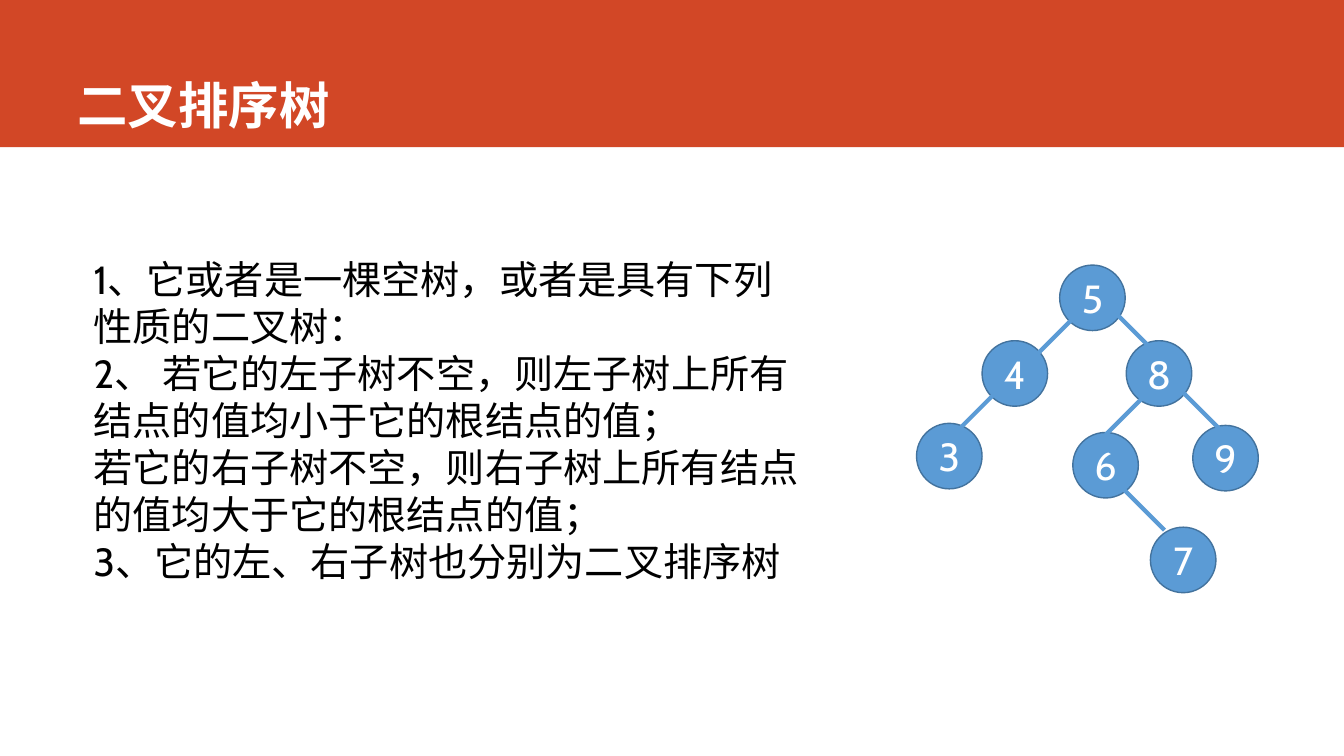
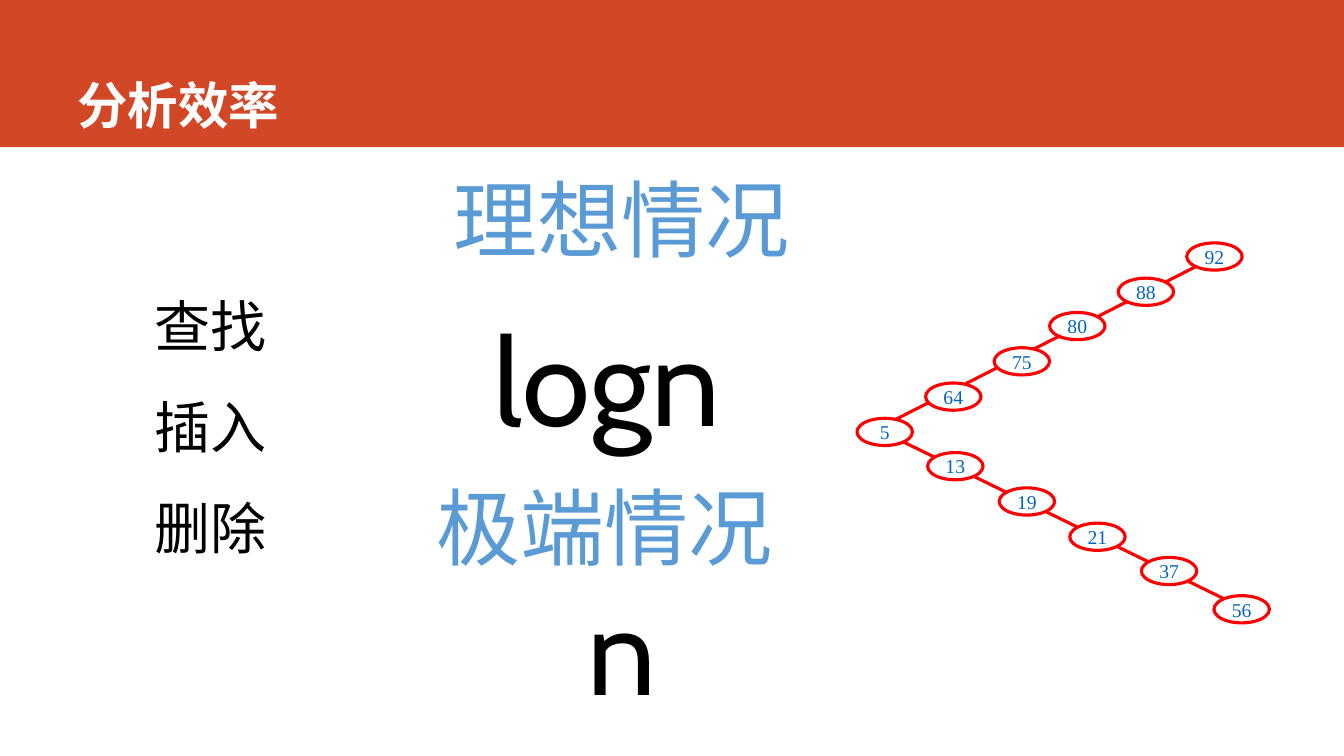
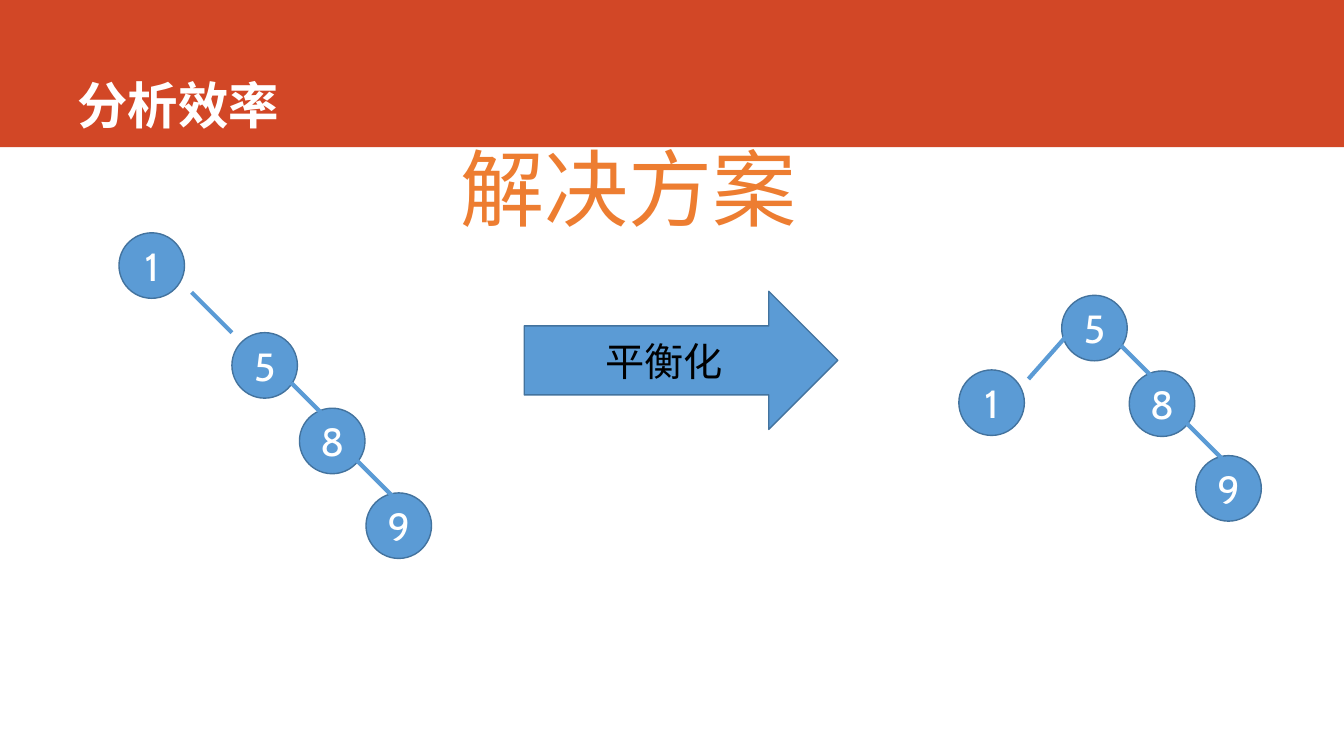
"""Build three slides about binary search trees and their efficiency."""
from dataclasses import dataclass

from lxml.etree import SubElement
from pptx import Presentation
from pptx.dml.color import RGBColor
from pptx.enum.lang import MSO_LANGUAGE_ID
from pptx.enum.shapes import MSO_CONNECTOR, MSO_SHAPE
from pptx.enum.text import MSO_ANCHOR, PP_ALIGN
from pptx.oxml.ns import qn
from pptx.presentation import Presentation as Deck
from pptx.shapes.autoshape import Shape
from pptx.slide import Slide
from pptx.text.text import TextFrame
from pptx.util import Inches, Pt

BAND_RED = RGBColor(0xD2, 0x47, 0x26)
WHITE = RGBColor(0xFF, 0xFF, 0xFF)
BLACK = RGBColor(0, 0, 0)
BLUE = RGBColor(0x5B, 0x9B, 0xD5)
DARK_BLUE = RGBColor(0x43, 0x73, 0x9E)
LINK_BLUE = RGBColor(0x05, 0x63, 0xC1)
ORANGE = RGBColor(0xED, 0x7D, 0x31)
RED = RGBColor(0xFF, 0, 0)

BODY_FONT = "Cabin"
TITLE_FONT = "Noto Sans CJK SC"
NUMBER_FONT = "Times New Roman"

SLIDE_WIDTH, SLIDE_HEIGHT = 13.33, 7.5
NODE_SIZE = 0.65
OVAL_WIDTH, OVAL_HEIGHT = 0.55, 0.27


@dataclass(frozen=True)
class Area:
    """A rectangle in inches."""

    left: float
    top: float
    width: float
    height: float

    def lengths(self) -> tuple[Inches, ...]:
        """Return the four sides as lengths."""
        return tuple(map(Inches, (self.left, self.top, self.width, self.height)))


@dataclass(frozen=True)
class Node:
    """A numbered tree node with its left and top in inches."""

    label: str
    left: float
    top: float


@dataclass(frozen=True)
class Edge:
    """A branch that starts at x, y and runs by across and down."""

    x: float
    y: float
    across: float = 0.4
    down: float = 0.4


SEARCH_TREE = (
    Node("5", 10.51, 2.63), Node("4", 9.74, 3.38), Node("8", 11.17, 3.38),
    Node("9", 11.83, 4.22), Node("6", 10.64, 4.29), Node("7", 11.41, 5.23),
    Node("3", 9.09, 4.2),
)
SEARCH_EDGES = (
    Edge(10.65, 3.15, -0.4), Edge(9.88, 3.89, -0.4), Edge(11.37, 3.91, -0.4),
    Edge(11.09, 3.13), Edge(11.74, 3.9), Edge(11.15, 4.86),
)
RIGHT_CHAIN = (Node("5", 0, 0), Node("8", 0.67, 0.75), Node("9", 1.33, 1.59))
RIGHT_CHAIN_EDGES = (Edge(0.59, 0.5), Edge(1.24, 1.27))
RISING_NODES = (
    Node("5", 8.5, 4.15), Node("64", 9.18, 3.8), Node("75", 9.86, 3.45),
    Node("80", 10.41, 3.1), Node("88", 11.09, 2.76), Node("92", 11.77, 2.41),
)
FALLING_NODES = (
    Node("13", 9.2, 4.49), Node("19", 9.91, 4.84), Node("21", 10.61, 5.19),
    Node("37", 11.32, 5.53), Node("56", 12.04, 5.91),
)


def write_text(frame: TextFrame, text: str, *, size: float, color: RGBColor,
               font: str = BODY_FONT, bold: bool = False, spacing: float = 1.0,
               align: PP_ALIGN = PP_ALIGN.LEFT,
               anchor: MSO_ANCHOR = MSO_ANCHOR.TOP, wrap: bool = True) -> None:
    """Write one paragraph for each line of text in a single format."""
    frame.word_wrap = wrap
    frame.vertical_anchor = anchor
    for index, line in enumerate(text.split("\n")):
        paragraph = frame.add_paragraph() if index else frame.paragraphs[0]
        paragraph.alignment = align
        paragraph.line_spacing = spacing
        span = paragraph.add_run()
        span.text = line
        span.font.size = Pt(size)
        span.font.bold = bold
        span.font.color.rgb = color
        span.font.name = font
        span.font.language_id = MSO_LANGUAGE_ID.SIMPLIFIED_CHINESE
        properties = span._r.get_or_add_rPr()
        SubElement(properties, qn("a:ea")).set("typeface", font)


def add_text(page: Slide, area: Area, text: str, *, size: float,
             color: RGBColor = BLACK, **formats) -> Shape:
    """Add a text box."""
    box = page.shapes.add_textbox(*area.lengths())
    write_text(box.text_frame, text, size=size, color=color, **formats)
    return box


def add_figure(page: Slide, kind: MSO_SHAPE, area: Area, *, fill: RGBColor,
               outline: RGBColor | None = None, weight: float = 1) -> Shape:
    """Add a filled preset shape with an optional outline."""
    figure = page.shapes.add_shape(kind, *area.lengths())
    figure.shadow.inherit = False
    figure.fill.solid()
    figure.fill.fore_color.rgb = fill
    if outline is None:
        figure.line.fill.background()
    else:
        figure.line.color.rgb = outline
        figure.line.width = Pt(weight)
    return figure


def add_edge(page: Slide, edge: Edge, *, color: RGBColor = BLUE,
             weight: float = 3) -> None:
    """Add a straight branch."""
    ends = (edge.x, edge.y, edge.x + edge.across, edge.y + edge.down)
    line = page.shapes.add_connector(MSO_CONNECTOR.STRAIGHT, *map(Inches, ends))
    line.line.color.rgb = color
    line.line.width = Pt(weight)
    SubElement(line._element.spPr, qn("a:effectLst"))


def add_tree(page: Slide, nodes: tuple[Node, ...], edges: tuple[Edge, ...],
             left: float = 0, top: float = 0) -> None:
    """Draw round nodes and their branches, moved by left and top."""
    for node in nodes:
        area = Area(left + node.left, top + node.top, NODE_SIZE, NODE_SIZE)
        circle = add_figure(page, MSO_SHAPE.OVAL, area, fill=BLUE, outline=DARK_BLUE)
        write_text(circle.text_frame, node.label, size=28, color=WHITE,
                   align=PP_ALIGN.CENTER, anchor=MSO_ANCHOR.MIDDLE)
    for edge in edges:
        add_edge(page, Edge(left + edge.x, top + edge.y, edge.across, edge.down))


def add_oval_chain(page: Slide, spine: Edge, nodes: tuple[Node, ...]) -> None:
    """Draw small red ovals strung on one line."""
    add_edge(page, spine, color=RED, weight=2.25)
    for node in nodes:
        area = Area(node.left, node.top, OVAL_WIDTH, OVAL_HEIGHT)
        oval = add_figure(page, MSO_SHAPE.OVAL, area, fill=WHITE, outline=RED,
                          weight=2.25)
        frame = oval.text_frame
        frame.margin_left = frame.margin_right = 0
        frame.margin_top = frame.margin_bottom = 0
        write_text(frame, node.label, size=14, color=LINK_BLUE, font=NUMBER_FONT,
                   align=PP_ALIGN.CENTER, anchor=MSO_ANCHOR.MIDDLE, wrap=False)


def add_page(deck: Deck, title: str) -> Slide:
    """Add a blank slide with the red band and its title."""
    page = deck.slides.add_slide(deck.slide_layouts[6])
    add_figure(page, MSO_SHAPE.RECTANGLE, Area(0, 0, SLIDE_WIDTH, 1.46), fill=BAND_RED)
    box = add_text(page, Area(0.67, 0, 11.75, 1.34), title, size=36, color=WHITE,
                   font=TITLE_FONT, bold=True, anchor=MSO_ANCHOR.BOTTOM)
    box.text_frame.margin_bottom = 0
    return page


def add_heading(page: Slide, left: float, top: float, text: str,
                color: RGBColor) -> None:
    """Add a large centred heading."""
    add_text(page, Area(left, top, 5.11, 1.11), text, size=60, color=color,
             align=PP_ALIGN.CENTER)


def build_definition(deck: Deck) -> None:
    """Build the slide that defines the tree."""
    page = add_page(deck, "二叉排序树")
    add_text(page, Area(0.83, 2.48, 7.25, 3.4),
             "1、它或者是一棵空树，或者是具有下列性质的二叉树：\n"
             "2、 若它的左子树不空，则左子树上所有结点的值均小于它的根结点的值；\n"
             "若它的右子树不空，则右子树上所有结点的值均大于它的根结点的值；\n"
             "3、它的左、右子树也分别为二叉排序树", size=28)
    add_tree(page, SEARCH_TREE, SEARCH_EDGES)


def build_efficiency(deck: Deck) -> None:
    """Build the slide that compares the ideal and the extreme case."""
    page = add_page(deck, "分析效率")
    add_text(page, Area(1.43, 2.51, 2, 3.13), "查找\n插入\n删除", size=40, spacing=1.5)
    add_text(page, Area(4.8, 2.96, 2.74, 1.58), "logn", size=88)
    add_heading(page, 3.61, 1.61, "理想情况", BLUE)
    add_text(page, Area(4.8, 5.63, 2.74, 1.58), "n", size=88, align=PP_ALIGN.CENTER)
    add_heading(page, 3.44, 4.67, "极端情况", BLUE)
    add_oval_chain(page, Edge(8.63, 4.29, 3.28, -1.67), ())
    add_oval_chain(page, Edge(8.91, 4.36, 3.25, 1.59), RISING_NODES + FALLING_NODES)


def build_solution(deck: Deck) -> None:
    """Build the slide that balances the tree."""
    page = add_page(deck, "分析效率")
    add_heading(page, 3.68, 1.3, "解决方案", ORANGE)
    add_tree(page, RIGHT_CHAIN, RIGHT_CHAIN_EDGES, 2.3, 3.3)
    add_tree(page, (Node("1", 1.18, 2.31),), (Edge(1.9, 2.9),))
    arrow = add_figure(page, MSO_SHAPE.RIGHT_ARROW, Area(5.2, 2.89, 3.11, 1.37),
                       fill=BLUE, outline=DARK_BLUE)
    write_text(arrow.text_frame, "平衡化", size=28, color=BLACK,
               align=PP_ALIGN.CENTER, anchor=MSO_ANCHOR.MIDDLE)
    add_tree(page, RIGHT_CHAIN, RIGHT_CHAIN_EDGES, 10.53, 2.93)
    add_tree(page, (Node("1", 9.51, 3.67),), (Edge(10.58, 3.33, -0.38, 0.43),))


def main() -> None:
    """Build and save the deck."""
    deck = Presentation()
    deck.slide_width = Inches(SLIDE_WIDTH)
    deck.slide_height = Inches(SLIDE_HEIGHT)
    build_definition(deck)
    build_efficiency(deck)
    build_solution(deck)
    deck.save("out.pptx")


if __name__ == "__main__":
    main()
